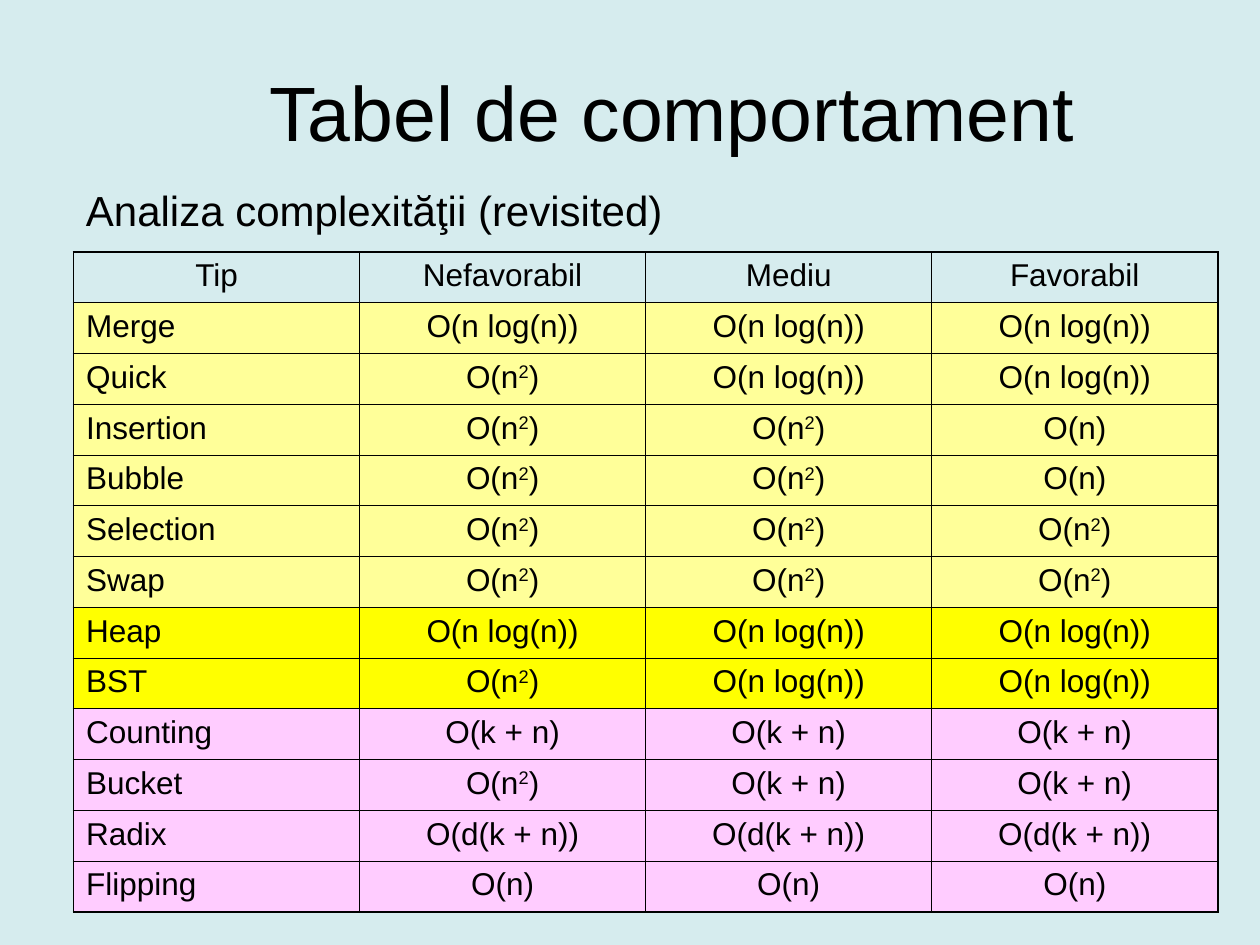
import pptx
import pptx.dml.color
import pptx.enum.text
import pptx.oxml.ns
import pptx.util
from lxml import etree

Pt = pptx.util.Pt
PP_ALIGN = pptx.enum.text.PP_ALIGN
MSO_ANCHOR = pptx.enum.text.MSO_ANCHOR

FONT, INK, BACKGROUND = "Arial", "000000", "D6ECEE"
INNER_LINE, OUTER_LINE = 0.45, 1.08

TITLE = "Tabel de comportament"
SUBTITLE = "Analiza complexităţii (revisited)"
HEADER = ("Tip", "Nefavorabil", "Mediu", "Favorabil")
N_LOG_N, N_SQUARED, LINEAR = "O(n log(n))", "O(n²)", "O(n)"
K_PLUS_N, D_K_PLUS_N = "O(k + n)", "O(d(k + n))"

# Row fill (None = transparent) and the rows that share it
GROUPS = [
    (None, [HEADER]),
    ("FFFF99", [
        ("Merge", N_LOG_N, N_LOG_N, N_LOG_N),
        ("Quick", N_SQUARED, N_LOG_N, N_LOG_N),
        ("Insertion", N_SQUARED, N_SQUARED, LINEAR),
        ("Bubble", N_SQUARED, N_SQUARED, LINEAR),
        ("Selection", N_SQUARED, N_SQUARED, N_SQUARED),
        ("Swap", N_SQUARED, N_SQUARED, N_SQUARED),
    ]),
    ("FFFF00", [
        ("Heap", N_LOG_N, N_LOG_N, N_LOG_N),
        ("BST", N_SQUARED, N_LOG_N, N_LOG_N),
    ]),
    ("FFCCFF", [
        ("Counting", K_PLUS_N, K_PLUS_N, K_PLUS_N),
        ("Bucket", N_SQUARED, K_PLUS_N, K_PLUS_N),
        ("Radix", D_K_PLUS_N, D_K_PLUS_N, D_K_PLUS_N),
        ("Flipping", LINEAR, LINEAR, LINEAR),
    ]),
]

TABLE_LEFT, TABLE_TOP = 42, 144
COLUMN_WIDTH, ROW_HEIGHT = 163.5, 29


def rgb(color):
    return pptx.dml.color.RGBColor.from_string(color)


def add_run(p, text, size, superscript=False):
    r = p.add_run()
    r.text = text
    r.font.name = FONT
    r.font.size = Pt(size)
    r.font.color.rgb = rgb(INK)
    if superscript:
        r.font._element.set("baseline", "30000")


def add_text(slide, text, box, size, align, anchor):
    sp = slide.shapes.add_textbox(*map(Pt, box))
    tf = sp.text_frame
    tf.word_wrap = True
    tf.vertical_anchor = anchor
    p = tf.paragraphs[0]
    p.alignment = align
    add_run(p, text, size)


def add_border(cell, side, width):
    """Draw one side of a cell; side is L, R, T or B."""
    qn = pptx.oxml.ns.qn
    ln = etree.SubElement(cell._tc.get_or_add_tcPr(), qn("a:ln" + side), w=str(Pt(width)))
    fill = etree.SubElement(ln, qn("a:solidFill"))
    etree.SubElement(fill, qn("a:srgbClr"), val=INK)


def fill_cell(cell, text, fill, align, outer_sides):
    for side in "LRTB":
        add_border(cell, side, OUTER_LINE if side in outer_sides else INNER_LINE)
    if fill:
        cell.fill.solid()
        cell.fill.fore_color.rgb = rgb(fill)
    else:
        cell.fill.background()
    p = cell.text_frame.paragraphs[0]
    p.alignment = align
    before, exponent, after = text.partition("²")
    add_run(p, before, 18)
    if exponent:
        add_run(p, "2", 18, superscript=True)
        add_run(p, after, 18)


def add_complexity_table(slide):
    rows = [(fill, row) for fill, group in GROUPS for row in group]
    n_rows, n_cols = len(rows), len(HEADER)
    table = slide.shapes.add_table(
        n_rows, n_cols, Pt(TABLE_LEFT), Pt(TABLE_TOP),
        Pt(n_cols * COLUMN_WIDTH), Pt(n_rows * ROW_HEIGHT)).table
    table.first_row = table.horz_banding = False
    for column in table.columns:
        column.width = Pt(COLUMN_WIDTH)
    for i, (fill, row) in enumerate(rows):
        table.rows[i].height = Pt(ROW_HEIGHT)
        for j, text in enumerate(row):
            edges = {"L": j == 0, "R": j == n_cols - 1, "T": i == 0, "B": i == n_rows - 1}
            outer_sides = [side for side, is_outer in edges.items() if is_outer]
            align = PP_ALIGN.LEFT if i > 0 and j == 0 else PP_ALIGN.CENTER
            fill_cell(table.cell(i, j), text, fill, align, outer_sides)


def main():
    prs = pptx.Presentation()
    prs.slide_width, prs.slide_height = Pt(720), Pt(540)
    slide = prs.slides.add_slide(prs.slide_layouts[6])
    slide.background.fill.solid()
    slide.background.fill.fore_color.rgb = rgb(BACKGROUND)
    add_text(slide, SUBTITLE, (42, 102, 624, 65), 24, PP_ALIGN.LEFT, MSO_ANCHOR.TOP)
    add_text(slide, TITLE, (60, 18, 648, 90), 44, PP_ALIGN.CENTER, MSO_ANCHOR.MIDDLE)
    add_complexity_table(slide)
    prs.save("out.pptx")


if __name__ == "__main__":
    main()
